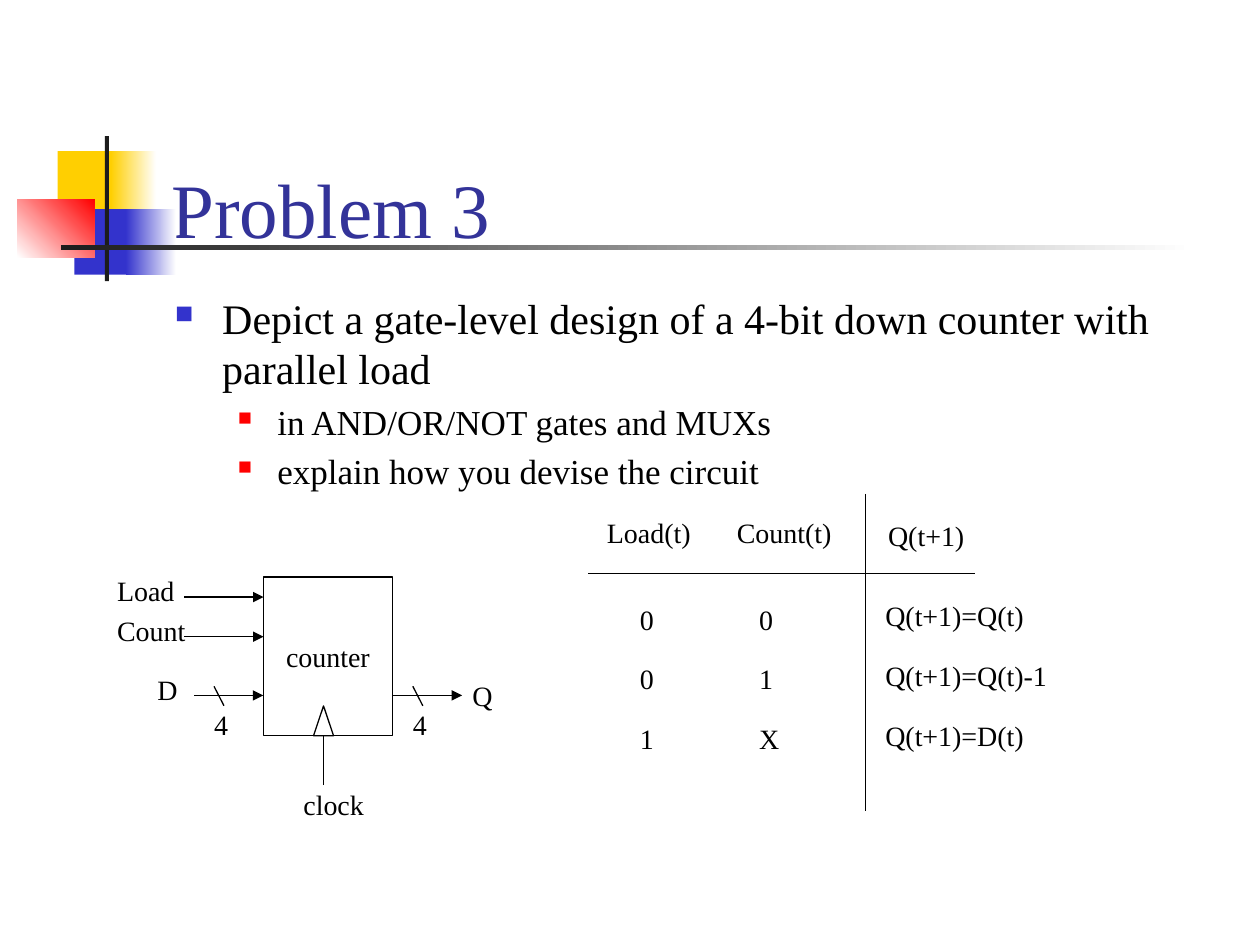
from dataclasses import dataclass

import pptx
import pptx.dml.color
import pptx.enum.dml
import pptx.enum.shapes
import pptx.enum.text
import pptx.oxml.ns
import pptx.util
from lxml import etree

Pt = pptx.util.Pt
MSO_SHAPE = pptx.enum.shapes.MSO_SHAPE
qn = pptx.oxml.ns.qn


@dataclass(frozen=True)
class Theme:
    font: str = "Times New Roman"
    ink: str = "000000"
    title: str = "333399"
    yellow: str = "FFCF01"
    blue: str = "3333CC"
    red: str = "FF0000"
    bar: str = "1C1C1C"
    white: str = "FFFFFF"
    title_size: float = 44
    task_size: float = 24
    detail_size: float = 20
    label_size: float = 16
    line_width: float = 0.75


@dataclass(frozen=True)
class Block:
    left: float
    top: float
    width: float
    height: float
    start: str
    end: str = ""
    angle: float = 0


@dataclass(frozen=True)
class Label:
    text: str
    left: float
    top: float
    width: float


@dataclass(frozen=True)
class Wire:
    x1: float
    y1: float
    x2: float
    y2: float
    arrow: bool = False


@dataclass(frozen=True)
class Bullet:
    text: str
    level: int
    size: float
    margin: float
    hang: float
    color: str
    scale: int


THEME = Theme()
LABEL_HEIGHT = 26.6


def rgb(color: str) -> pptx.dml.color.RGBColor:
    return pptx.dml.color.RGBColor.from_string(color)


def write(paragraph, text: str, size: float, color: str = THEME.ink) -> None:
    run = paragraph.add_run()
    run.text = text
    run.font.name = THEME.font
    run.font.size = Pt(size)
    run.font.color.rgb = rgb(color)


def draw_block(shapes, block: Block) -> None:
    shape = shapes.add_shape(MSO_SHAPE.RECTANGLE, Pt(block.left), Pt(block.top),
                             Pt(block.width), Pt(block.height))
    shape.shadow.inherit = False
    shape.line.fill.background()
    if block.end:
        shape.fill.gradient()
        shape.fill.gradient_angle = block.angle
        for stop, color in zip(shape.fill.gradient_stops, (block.start, block.end)):
            stop.color.rgb = rgb(color)
    else:
        shape.fill.solid()
        shape.fill.fore_color.rgb = rgb(block.start)


def draw_outline(shapes, kind, left: float, top: float, width: float, height: float):
    shape = shapes.add_shape(kind, Pt(left), Pt(top), Pt(width), Pt(height))
    shape.shadow.inherit = False
    shape.fill.background()
    shape.line.color.rgb = rgb(THEME.ink)
    shape.line.width = Pt(THEME.line_width)
    return shape


def draw_label(shapes, label: Label) -> None:
    box = shapes.add_textbox(Pt(label.left), Pt(label.top), Pt(label.width), Pt(LABEL_HEIGHT))
    frame = box.text_frame
    frame.word_wrap = False
    frame.auto_size = pptx.enum.text.MSO_AUTO_SIZE.SHAPE_TO_FIT_TEXT
    write(frame.paragraphs[0], label.text, THEME.label_size)


def draw_wire(shapes, wire: Wire) -> None:
    connector = shapes.add_connector(pptx.enum.shapes.MSO_CONNECTOR.STRAIGHT,
                                     Pt(wire.x1), Pt(wire.y1), Pt(wire.x2), Pt(wire.y2))
    connector.line.color.rgb = rgb(THEME.ink)
    connector.line.width = Pt(THEME.line_width)
    properties = connector._element.spPr
    if wire.arrow:
        etree.SubElement(properties.find(qn("a:ln")), qn("a:tailEnd"), type="triangle")
    etree.SubElement(properties, qn("a:effectLst"))


def draw_bus(shapes, left: float) -> None:
    draw_wire(shapes, Wire(left, 397.4, left + 39.6, 397.4, arrow=True))
    draw_wire(shapes, Wire(left + 11.4, 392.2, left + 17.1, 403.3))
    draw_label(shapes, Label("4", left + 4.3, 401, 22.3))


def add_bullet(paragraph, bullet: Bullet) -> None:
    paragraph.level = bullet.level
    properties = paragraph._p.get_or_add_pPr()
    properties.set("marL", str(Pt(bullet.margin)))
    properties.set("indent", str(-Pt(bullet.hang)))
    mark_color = etree.SubElement(properties, qn("a:buClr"))
    etree.SubElement(mark_color, qn("a:srgbClr"), val=bullet.color)
    etree.SubElement(properties, qn("a:buSzPct"), val=str(bullet.scale * 1000))
    etree.SubElement(properties, qn("a:buChar"), char="■")
    write(paragraph, bullet.text, bullet.size)


def draw_header(slide) -> None:
    for block in (
        Block(33, 86.4, 34.6, 37.4, THEME.yellow),
        Block(63.4, 86.4, 25.9, 37.4, THEME.yellow, THEME.white),
        Block(42.5, 119.5, 33.1, 37.4, THEME.blue),
        Block(72, 119.5, 28.8, 37.4, THEME.blue, THEME.white),
        Block(10, 113.8, 44, 33.4, THEME.white, THEME.red, 45),
        Block(60, 77.8, 2.2, 82.8, THEME.bar),
        Block(34.6, 140.2, 648, 2.4, THEME.bar, THEME.white),
    ):
        draw_block(slide.shapes, block)
    title = slide.shapes.title
    title.left, title.top, title.width, title.height = Pt(90.7), Pt(16.6), Pt(613.4), Pt(131.8)
    frame = title.text_frame
    frame.auto_size = pptx.enum.text.MSO_AUTO_SIZE.NONE
    frame.vertical_anchor = pptx.enum.text.MSO_ANCHOR.BOTTOM
    frame.paragraphs[0].alignment = pptx.enum.text.PP_ALIGN.LEFT
    write(frame.paragraphs[0], "Problem 3", THEME.title_size, THEME.title)


def draw_task(slide) -> None:
    body = slide.shapes.add_textbox(Pt(92.9), Pt(159.1), Pt(612), Pt(128.9))
    frame = body.text_frame
    frame.word_wrap = True
    frame.margin_top = Pt(8)
    task = Bullet("Depict a gate-level design of a 4-bit down counter with parallel load",
                  0, THEME.task_size, 27, 27, THEME.blue, 60)
    add_bullet(frame.paragraphs[0], task)
    for text in ("in AND/OR/NOT gates and MUXs", "explain how you devise the circuit"):
        paragraph = frame.add_paragraph()
        paragraph.space_before = Pt(THEME.detail_size * 0.2)
        add_bullet(paragraph, Bullet(text, 1, THEME.detail_size, 58.5, 22.5, THEME.red, 55))


def draw_counter(slide) -> None:
    shapes = slide.shapes.add_group_shape().shapes
    counter = draw_outline(shapes, MSO_SHAPE.RECTANGLE, 150.6, 329.7, 73.7, 90.7)
    frame = counter.text_frame
    frame.word_wrap = False
    frame.vertical_anchor = pptx.enum.text.MSO_ANCHOR.MIDDLE
    frame.paragraphs[0].alignment = pptx.enum.text.PP_ALIGN.CENTER
    write(frame.paragraphs[0], "counter", THEME.label_size)
    draw_outline(shapes, MSO_SHAPE.ISOSCELES_TRIANGLE, 179.2, 403.4, 11.4, 17)
    draw_wire(shapes, Wire(184.9, 448.6, 184.9, 420.4))
    for bus_left in (110.9, 224.5):
        draw_bus(shapes, bus_left)
    for control_y in (341.2, 363.8):
        draw_wire(shapes, Wire(105.2, control_y, 150.6, control_y, arrow=True))
    for label in (
        Label("Load", 59.8, 324.3, 47.5),
        Label("Count", 59.8, 347, 53.3),
        Label("D", 82.8, 380.9, 25.9),
        Label("Q", 262.8, 384.5, 25.9),
        Label("clock", 166.3, 446.4, 49),
    ):
        draw_label(shapes, label)


def draw_truth_table(slide) -> None:
    shapes = slide.shapes.add_group_shape().shapes
    draw_wire(shapes, Wire(336.2, 327.6, 557.3, 327.6))
    draw_wire(shapes, Wire(494.6, 282.2, 494.6, 463.7))
    for label in (
        Label("Load(t)", 339.8, 290.9, 62.6),
        Label("Count(t)", 414, 290.9, 69.1),
        Label("Q(t+1)", 500.4, 293, 58.3),
    ):
        draw_label(shapes, label)
    states = (("0", "0", "Q(t+1)=Q(t)", 22.3, 94.3),
              ("0", "1", "Q(t+1)=Q(t)-1", 22.3, 107.3),
              ("1", "X", "Q(t+1)=D(t)", 25.9, 94.3))
    for row, (load, count, following, count_width, following_width) in enumerate(states):
        top = 340.6 + 34.1 * row
        draw_label(shapes, Label(load, 358.6, top, 22.3))
        draw_label(shapes, Label(count, 426.7, top, count_width))
        draw_label(shapes, Label(following, 498.8, top - 2, following_width))


def main() -> None:
    deck = pptx.Presentation()
    deck.slide_width, deck.slide_height = Pt(720), Pt(540)
    slide = deck.slides.add_slide(deck.slide_layouts[5])
    draw_header(slide)
    draw_task(slide)
    draw_counter(slide)
    draw_truth_table(slide)
    deck.save("out.pptx")


if __name__ == "__main__":
    main()
